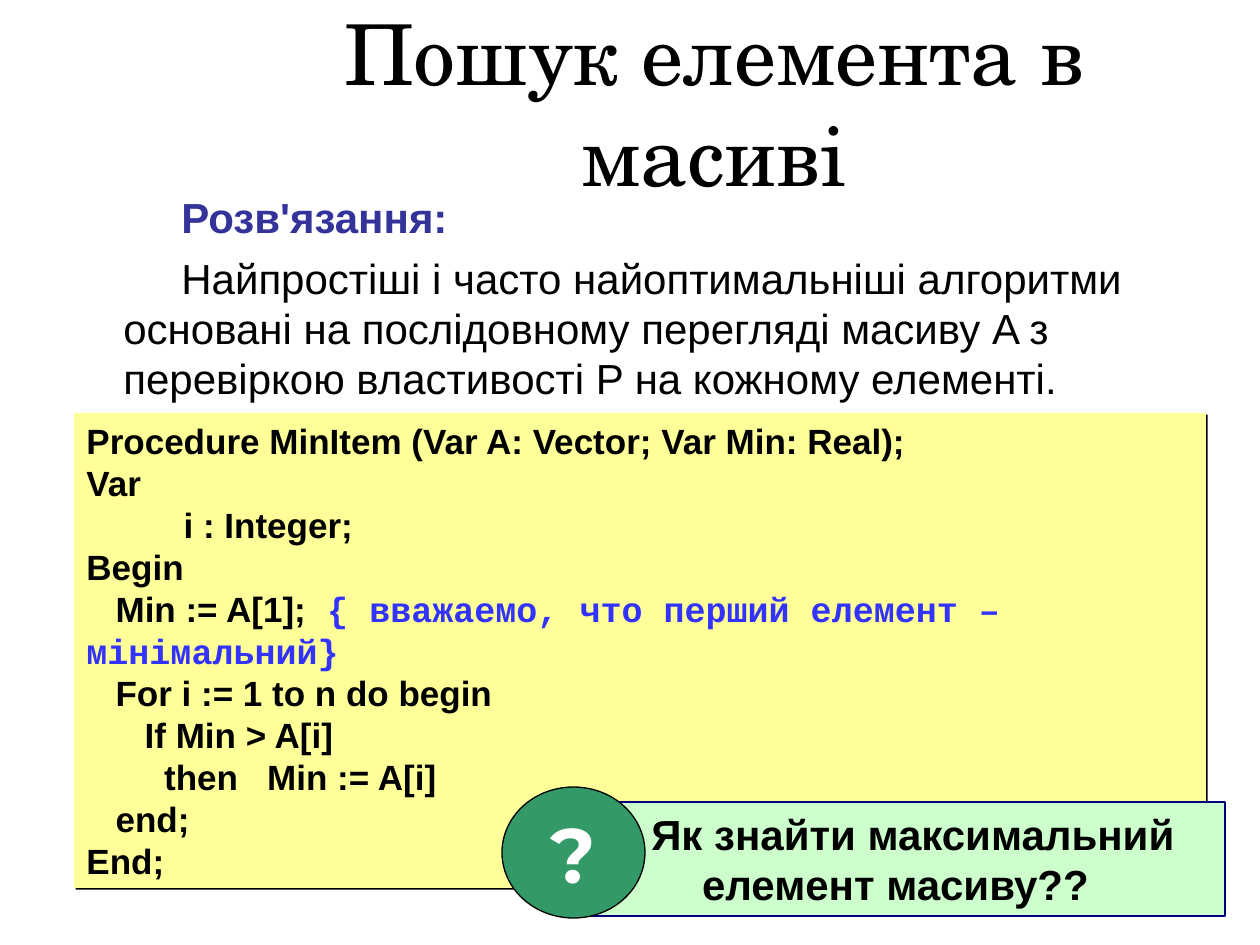
import pptx
import pptx.util
import pptx.dml.color
import pptx.enum.shapes
import pptx.enum.text
from lxml import etree

PX = 914400 // 126
COLORS = {
    "text": "000000", "heading": "333399", "comment": "3333FF",
    "code": "FFFF99", "question": "CCFFCC", "question_line": "000080",
    "badge": "339966", "badge_text": "FFFFFF",
}
ALIGN = pptx.enum.text.PP_ALIGN
ANCHOR = pptx.enum.text.MSO_ANCHOR
FIT = pptx.enum.text.MSO_AUTO_SIZE
SHAPE = pptx.enum.shapes.MSO_SHAPE

# Each paragraph is a list of runs: (text, font, size, color, bold)
TITLE = [[("Пошук елемента в масиві", "TeX Gyre Schola", 48, "text", False)]]
BODY = [
    [("Розв'язання:", "Arial", 24, "heading", True)],
    [("Найпростіші і часто найоптимальніші алгоритми основані на послідовному "
      "перегляді масиву A з перевіркою властивості P на кожному елементі.",
      "Arial", 24, "text", False)],
]
CODE_LINES = [
    ("Рrocedure MinItem (Var A: Vector; Var Min: Real);", ""),
    ("Var", ""),
    ("          i : Integer;", ""),
    ("Begin", ""),
    ("   Min := A[1];", " { вважаемо, что перший елемент – мінімальний}"),
    ("   For i := 1 to n do begin", ""),
    ("      If Min > A[i]", ""),
    ("        then   Min := A[i]", ""),
    ("   end;", ""),
    ("End;", ""),
]
CODE = [
    [(code, "Arial", 20, "text", True)]
    + ([(comment, "Courier New", 20, "comment", True)] if comment else [])
    for code, comment in CODE_LINES
]
QUESTION = [[("Як знайти максимальний елемент масиву??", "Arial", 24, "text", True)]]
BADGE = [[("?", "Montserrat", 44, "badge_text", True)]]


def px(*lengths):
    return [length * PX for length in lengths]


def rgb(name):
    return pptx.dml.color.RGBColor.from_string(COLORS[name])


def write(box, paragraphs, align=ALIGN.LEFT, anchor=ANCHOR.TOP, wrap=True,
          leading=None, gap=0, margin=0, indent=0):
    """Fill a box with runs; leading is a multiple of the text size, margin and indent are px."""
    frame = box.text_frame
    frame.auto_size = FIT.NONE
    frame.word_wrap = wrap
    frame.vertical_anchor = anchor
    for number, runs in enumerate(paragraphs):
        para = frame.add_paragraph() if number else frame.paragraphs[0]
        para.alignment = align
        para.space_before = pptx.util.Pt(gap if number else 0)
        if leading:
            para.line_spacing = pptx.util.Pt(leading * runs[0][2])
        properties = para._p.get_or_add_pPr()
        properties.set("marL", str(margin * PX))
        properties.set("indent", str(indent * PX))
        for text, font, size, color, bold in runs:
            span = para.add_run()
            span.text = text
            span.font.name = font
            span.font.size = pptx.util.Pt(size)
            span.font.bold = bold
            span.font.color.rgb = rgb(color)


def add_panel(shapes, kind, place, fill, line=None, width=1):
    panel = shapes.add_shape(kind, *px(*place))
    panel.shadow.inherit = False
    panel.fill.solid()
    panel.fill.fore_color.rgb = rgb(fill)
    if line:
        panel.line.color.rgb = rgb(line)
        panel.line.width = pptx.util.Pt(width)
    else:
        panel.line.fill.background()
    return panel


def add_hard_shadow(shape):
    effects = shape._element.spPr.find(pptx.oxml.ns.qn("a:effectLst"))
    shadow = etree.SubElement(
        effects, pptx.oxml.ns.qn("a:outerShdw"), dist="17780", dir="2700000",
        algn="ctr", rotWithShape="0")
    etree.SubElement(shadow, pptx.oxml.ns.qn("a:srgbClr"), val=COLORS["text"])


def main():
    deck = pptx.Presentation()
    deck.slide_width, deck.slide_height = px(1260, 945)
    slide = deck.slides.add_slide(deck.slide_layouts[5])

    title = slide.shapes.title
    title.left, title.top, title.width, title.height = px(253, 35, 922, 135)
    write(title, TITLE, ALIGN.CENTER, ANCHOR.MIDDLE)

    body = slide.shapes.add_textbox(*px(63, 185, 1134, 725))
    write(body, BODY, leading=1.2, gap=6, margin=48, indent=58)

    code = add_panel(slide.shapes, SHAPE.RECTANGLE, (74, 413, 1132, 475), "code")
    add_hard_shadow(code)
    write(code, CODE, leading=1.2)

    callout = slide.shapes.add_group_shape()
    question = add_panel(callout.shapes, SHAPE.RECTANGLE, (566, 802, 659, 114),
                         "question", "question_line")
    write(question, QUESTION, ALIGN.CENTER, leading=1.2, indent=35)
    badge = add_panel(callout.shapes, SHAPE.OVAL, (502, 787, 143, 131),
                      "badge", "text", 0.75)
    write(badge, BADGE, ALIGN.CENTER, ANCHOR.MIDDLE, wrap=False)

    deck.save("out.pptx")


if __name__ == "__main__":
    main()
